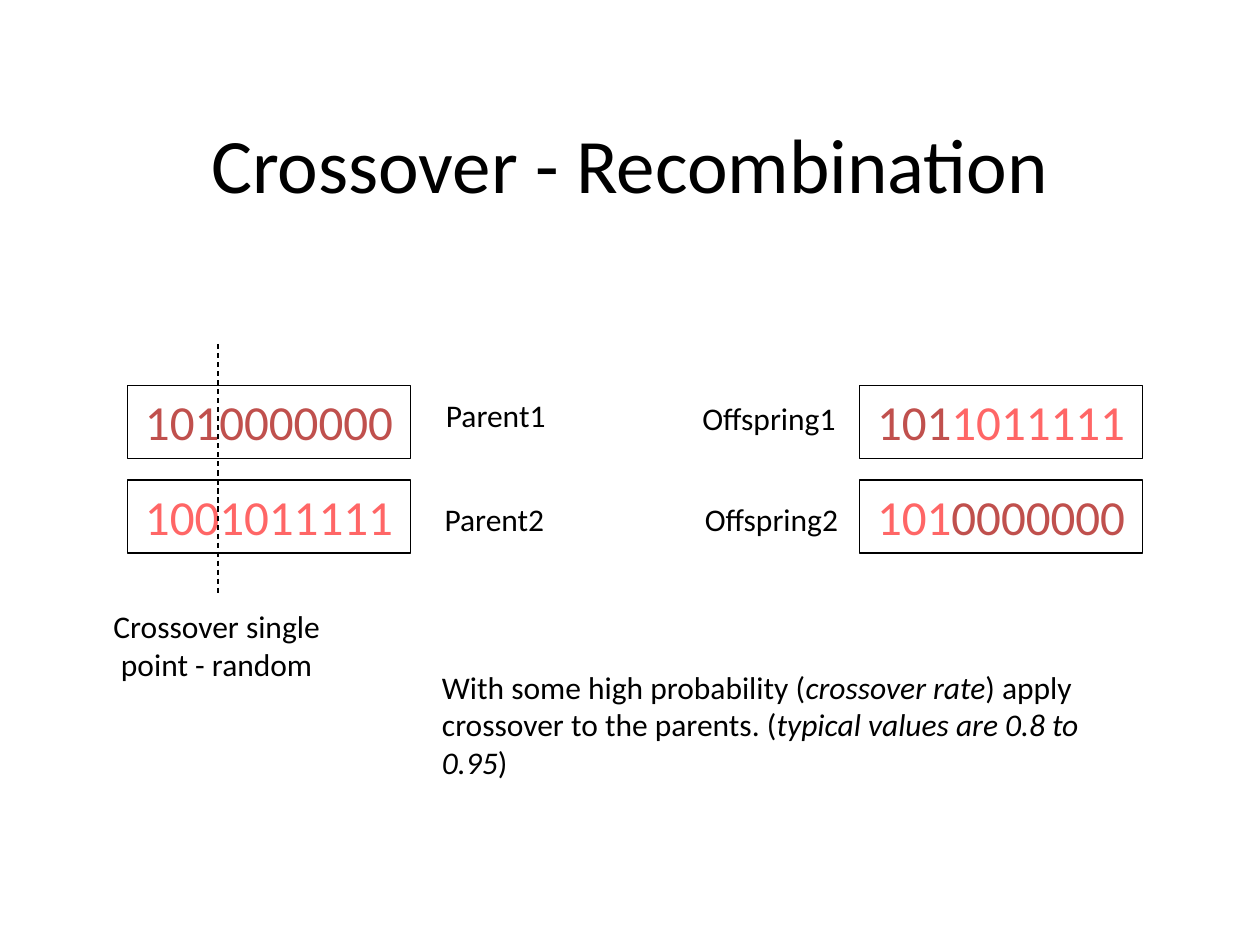
import pptx
import pptx.util
import pptx.dml.color
import pptx.enum.dml
import pptx.enum.shapes
import pptx.enum.text
import pptx.oxml.ns
import lxml.etree

Inches = pptx.util.Inches
Pt = pptx.util.Pt
Align = pptx.enum.text.PP_ALIGN
Anchor = pptx.enum.text.MSO_ANCHOR

BLACK = pptx.dml.color.RGBColor(0x00, 0x00, 0x00)
BRICK = pptx.dml.color.RGBColor(0xC0, 0x50, 0x4D)
CORAL = pptx.dml.color.RGBColor(0xFF, 0x66, 0x66)

FONT = "Calibri"
GENE_SIZE = 28
NOTE_SIZE = 18

# Grid of the chromosomes: two columns, two rows
PARENT_LEFT, OFFSPRING_LEFT = 1.01, 6.82
ROW_TOP, ROW_STEP = 3.06, 0.75
GENE_WIDTH, GENE_HEIGHT = 2.25, 0.58


def write(frame, spans, size, align):
    """Fill a text frame with (text, colour, italic) spans."""
    frame.word_wrap = True
    para = frame.paragraphs[0]
    para.alignment = align
    for text, colour, italic in spans:
        span = para.add_run()
        span.text = text
        span.font.name = FONT
        span.font.size = Pt(size)
        span.font.italic = italic
        span.font.color.rgb = colour


def add_title(page, text):
    title = page.shapes.title
    title.left, title.top = Inches(0.75), Inches(0.67)
    title.width, title.height = Inches(8.5), Inches(1.25)
    title.text_frame.vertical_anchor = Anchor.MIDDLE
    write(title.text_frame, [(text, BLACK, False)], 44, Align.CENTER)


def add_chromosome(page, left, row, genes):
    """Draw a framed bit string from (bits, colour) parts."""
    box = page.shapes.add_shape(
        pptx.enum.shapes.MSO_SHAPE.RECTANGLE,
        Inches(left), Inches(ROW_TOP + row * ROW_STEP),
        Inches(GENE_WIDTH), Inches(GENE_HEIGHT))
    box.shadow.inherit = False
    box.fill.background()
    box.line.color.rgb = BLACK
    box.line.width = Pt(0.75)
    box.text_frame.vertical_anchor = Anchor.TOP
    spans = [(bits, colour, False) for bits, colour in genes]
    write(box.text_frame, spans, GENE_SIZE, Align.CENTER)


def add_note(page, left, top, width, height, parts, align=Align.LEFT):
    """Add black text; every second part is italic."""
    box = page.shapes.add_textbox(
        Inches(left), Inches(top), Inches(width), Inches(height))
    spans = [(text, BLACK, index % 2 == 1) for index, text in enumerate(parts)]
    write(box.text_frame, spans, NOTE_SIZE, align)


def add_cut_line(page, x, top, bottom):
    line = page.shapes.add_connector(
        pptx.enum.shapes.MSO_CONNECTOR.STRAIGHT,
        Inches(x), Inches(top), Inches(x), Inches(bottom))
    line.line.color.rgb = BLACK
    line.line.width = Pt(0.75)
    line.line.dash_style = pptx.enum.dml.MSO_LINE.DASH
    lxml.etree.SubElement(
        line._element.spPr, pptx.oxml.ns.qn("a:effectLst"))


def main():
    deck = pptx.Presentation()
    deck.slide_width, deck.slide_height = Inches(10), Inches(7.5)
    page = deck.slides.add_slide(deck.slide_layouts[5])
    add_title(page, "Crossover - Recombination")

    # Parents and the crossover point
    add_chromosome(page, PARENT_LEFT, 0, [("1010000000", BRICK)])
    add_chromosome(page, PARENT_LEFT, 1, [("1001011111", CORAL)])
    add_cut_line(page, 1.73, 2.73, 4.73)
    add_note(page, 0.74, 4.77, 1.96, 1.3,
             ["Crossover single point - random"], Align.CENTER)

    # Offspring
    add_chromosome(page, OFFSPRING_LEFT, 0,
                   [("101", BRICK), ("1011111", CORAL)])
    add_chromosome(page, OFFSPRING_LEFT, 1,
                   [("101", CORAL), ("0000000", BRICK)])

    # Labels beside the chromosomes
    add_note(page, 3.44, 3.09, 1.68, 0.5, ["Parent1"])
    add_note(page, 3.43, 3.92, 1.25, 0.5, ["Parent2"])
    add_note(page, 4.95, 3.12, 1.78, 0.5, ["Offspring1"], Align.RIGHT)
    add_note(page, 4.97, 3.92, 1.78, 0.5, ["Offspring2"], Align.RIGHT)

    # Explanation
    add_note(page, 3.41, 5.25, 5.63, 1.3, [
        "With some high probability (", "crossover rate",
        ") apply crossover to the parents. (",
        "typical values are 0.8 to 0.95", ")"])

    deck.save("out.pptx")


if __name__ == "__main__":
    main()
